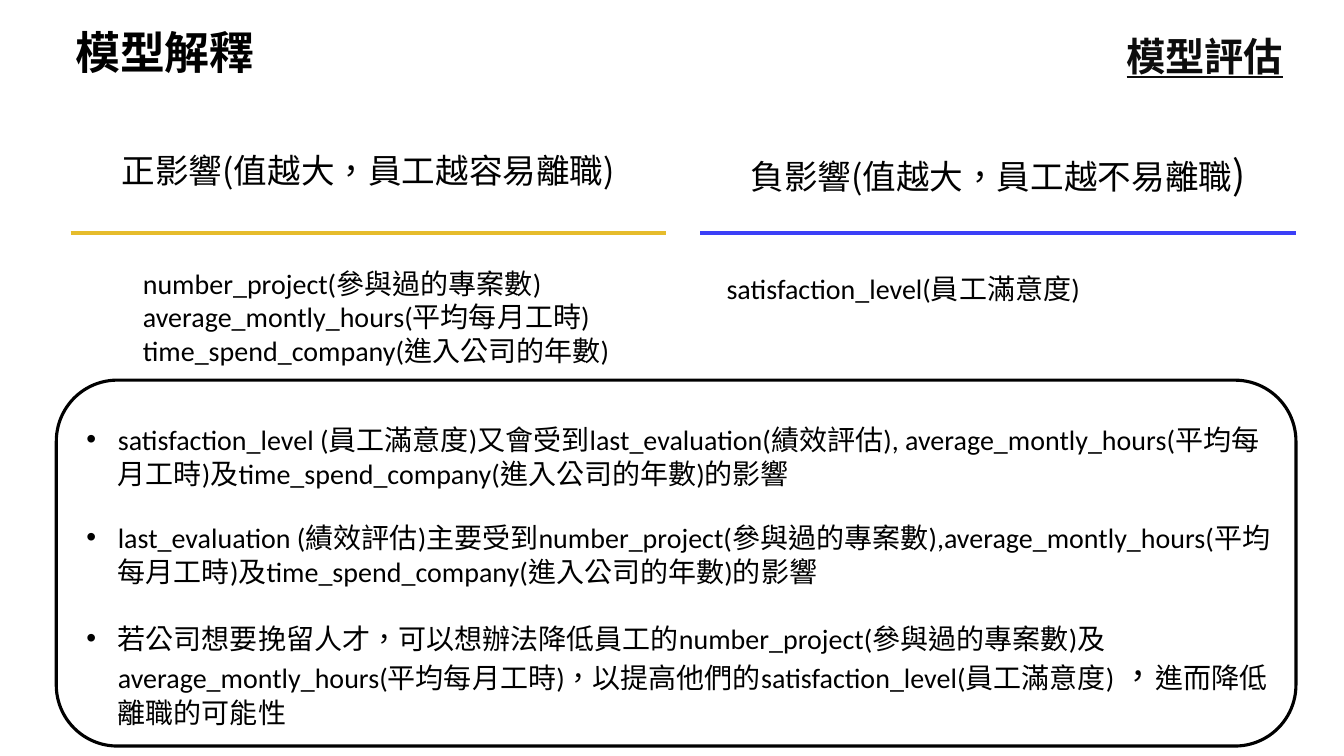
from itertools import groupby

from lxml import etree
from pptx import Presentation
from pptx import util as u
from pptx.dml.color import RGBColor
from pptx.enum import shapes, text
from pptx.oxml import ns

LATIN = "Calibri"
CHINESE = "Noto Sans CJK SC"
BLACK = "000000"


def colour(value):
    return RGBColor.from_string(value)


def is_chinese(letter):
    return ord(letter) > 0x2E80


def add_span(para, wording, size, face, ink=BLACK, bold=None, underline=None):
    span = para.add_run()
    span.text = wording
    font = span.font
    font.name = face
    font.size = u.Pt(size)
    font.bold = bold
    font.underline = underline
    font.color.rgb = colour(ink)
    properties = font._element
    properties.set("lang", "zh-TW" if face == CHINESE else "en-US")
    east_asian = etree.Element(ns.qn("a:ea"), typeface=CHINESE)
    properties.find(ns.qn("a:latin")).addnext(east_asian)


def add_mixed(para, wording, size=20):
    for chinese, letters in groupby(wording, is_chinese):
        add_span(para, "".join(letters), size, CHINESE if chinese else LATIN)


def add_box(page, left, top, width, height, wrap=True):
    box = page.shapes.add_textbox(u.Cm(left), u.Cm(top), u.Cm(width), u.Cm(height))
    box.text_frame.word_wrap = wrap
    box.text_frame.auto_size = text.MSO_AUTO_SIZE.SHAPE_TO_FIT_TEXT
    return box.text_frame


def add_title(page, place, wording, size, ink=BLACK, underline=None, wrap=True):
    para = add_box(page, *place, wrap=wrap).paragraphs[0]
    add_span(para, wording, size, CHINESE, ink, True, underline)


def add_heading(page, place, pieces):
    para = add_box(page, *place).paragraphs[0]
    para.alignment = text.PP_ALIGN.CENTER
    for wording, size in pieces:
        add_span(para, wording, size, CHINESE)


def add_rule(page, left, ink):
    top = u.Cm(5.87)
    rule = page.shapes.add_connector(
        shapes.MSO_CONNECTOR.STRAIGHT, u.Cm(left), top, u.Cm(left + 15), top)
    rule.line.color.rgb = colour(ink)
    rule.line.width = u.Pt(3)
    etree.SubElement(rule._element.spPr, ns.qn("a:effectLst"))


def add_frame(page, left, top, width, height):
    frame = page.shapes.add_shape(
        shapes.MSO_SHAPE.ROUNDED_RECTANGLE,
        u.Cm(left), u.Cm(top), u.Cm(width), u.Cm(height))
    frame.shadow.inherit = False
    frame.fill.background()
    frame.line.color.rgb = colour(BLACK)
    frame.line.width = u.Pt(2.25)


def set_bullet(para):
    properties = para._p.get_or_add_pPr()
    properties.set("marL", str(u.Cm(0.79)))
    properties.set("indent", str(-u.Cm(0.79)))
    etree.SubElement(properties, ns.qn("a:buFont"), typeface="Arial")
    etree.SubElement(properties, ns.qn("a:buChar"), char="•")


def add_lines(page, place, lines, gaps=None):
    frame = add_box(page, *place)
    for index, pieces in enumerate(lines):
        para = frame.paragraphs[0] if index == 0 else frame.add_paragraph()
        if gaps:
            set_bullet(para)
            if index:
                para.space_before = u.Pt(gaps[index - 1])
        for wording, size in pieces:
            add_mixed(para, wording, size)


def main():
    deck = Presentation()
    deck.slide_width, deck.slide_height = u.Cm(33.87), u.Cm(19.05)
    page = deck.slides.add_slide(deck.slide_layouts[6])

    projects = "number_project(參與過的專案數)"
    hours = "average_montly_hours(平均每月工時)"
    years = "time_spend_company(進入公司的年數)"
    satisfaction = "satisfaction_level(員工滿意度)"

    add_title(page, (1.65, 0.51, 15.24, 1.63), "模型解釋", 32)
    add_title(page, (28.14, 0.69, 4.5, 1.45), "模型評估", 28, "0D0D0D", True, False)
    add_rule(page, 1.78, "E6BC2C")
    add_rule(page, 17.65, "3B3FF7")
    add_heading(page, (1.78, 3.66, 15, 1.27), [("正影響(值越大，員工越容易離職)", 24)])
    add_heading(page, (17.65, 3.66, 15, 2.64),
                [("負影響(值越大，員工越不易離職", 24), (")", 28)])
    add_lines(page, (18.06, 6.58, 11.48, 1.27), [[(satisfaction, 20), (" ", 24)]])
    add_lines(page, (3.35, 6.58, 13.54, 3.58),
              [[(factor, 20)] for factor in (projects, hours, years)])
    add_frame(page, 1.42, 9.58, 31.24, 9.22)
    findings = [
        [("satisfaction_level (員工滿意度)又會受到last_evaluation(績效評估), "
          f"{hours}及{years}的影響", 20)],
        [(f"last_evaluation (績效評估)主要受到{projects},{hours}及{years}的影響", 20)],
        [(f"若公司想要挽留人才，可以想辦法降低員工的{projects}及{hours}，"
          f"以提高他們的{satisfaction}", 20),
         (" ，", 24), ("進而降低離職的可能性", 20)],
    ]
    add_lines(page, (1.93, 10.52, 30.73, 9.83), findings, gaps=(22, 24))
    deck.save("out.pptx")


if __name__ == "__main__":
    main()
